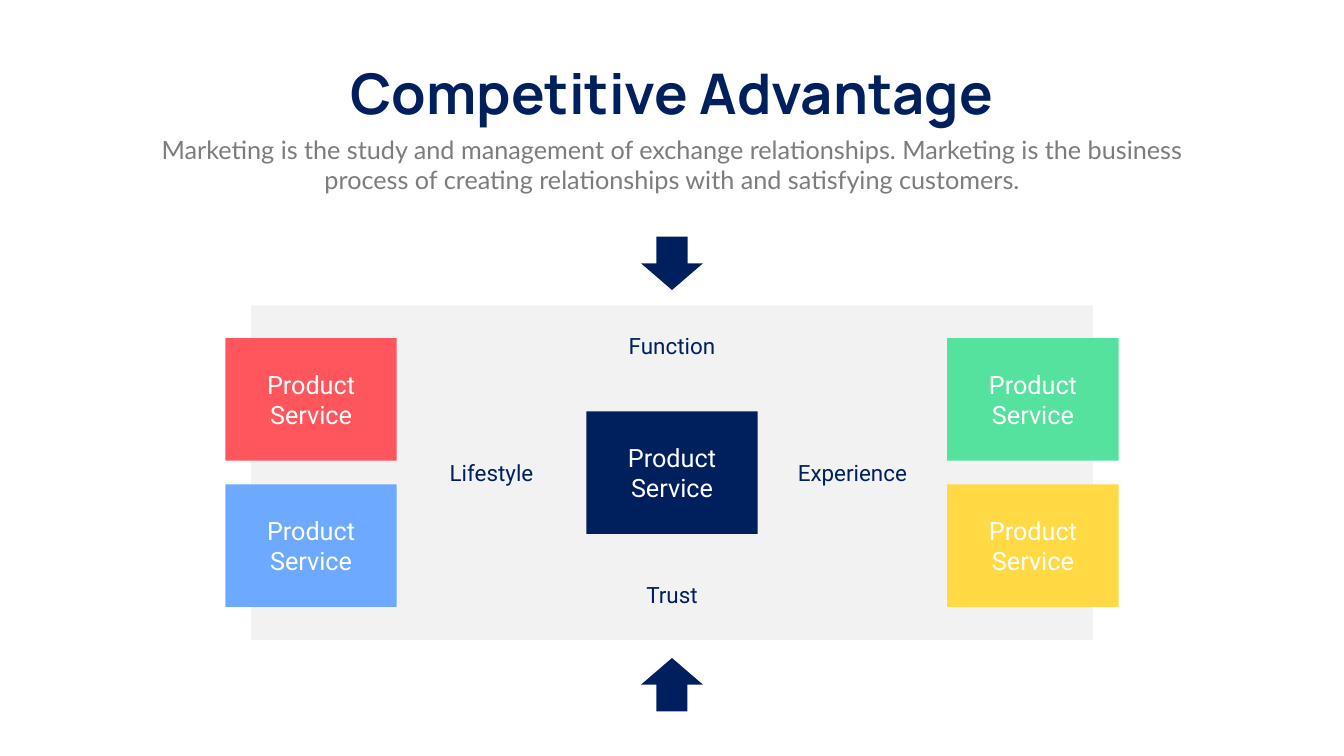
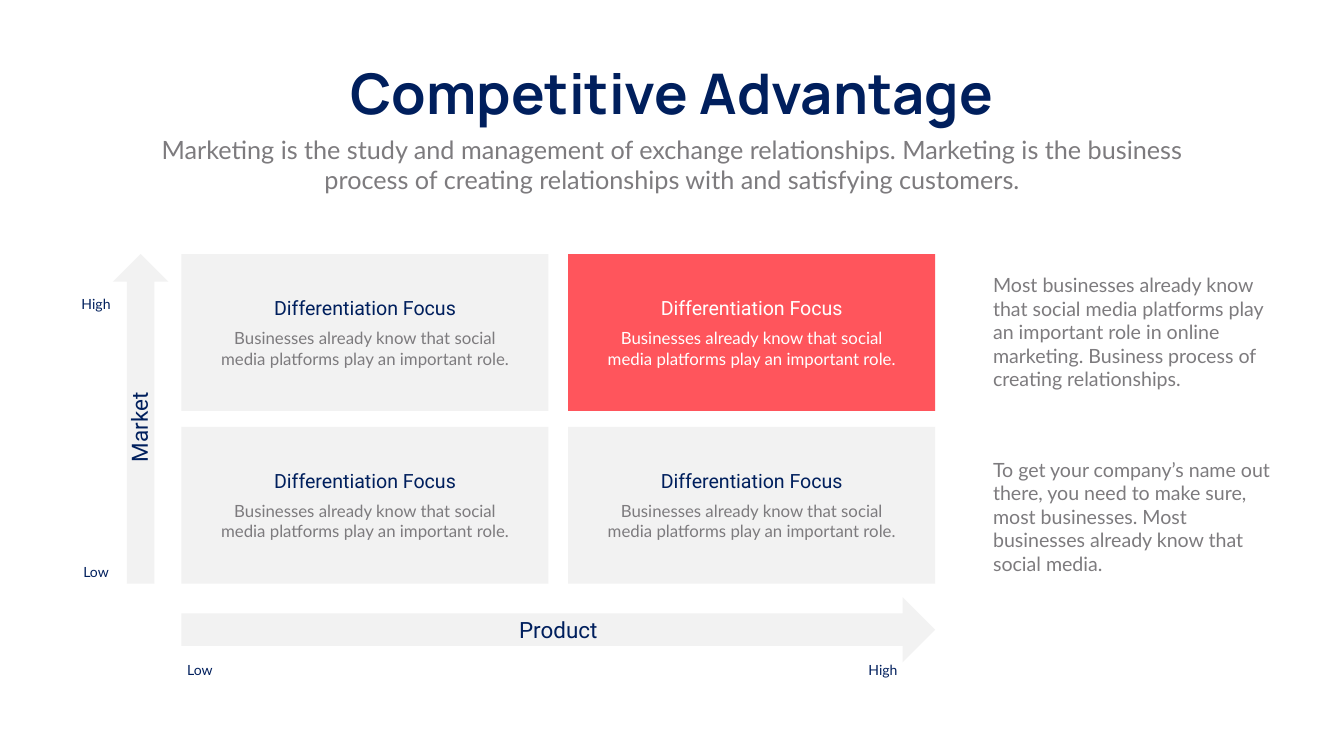
import pptx
import pptx.util
import pptx.dml.color
import pptx.enum.shapes
import pptx.enum.text

Pt = pptx.util.Pt
RGBColor = pptx.dml.color.RGBColor
SHAPE = pptx.enum.shapes.MSO_SHAPE
ALIGN = pptx.enum.text.PP_ALIGN

# Shared colours and fonts
NAVY = RGBColor(0x00, 0x1F, 0x5D)
GREY = RGBColor(0x7D, 0x7B, 0x7E)
PALE = RGBColor(0xF2, 0xF2, 0xF2)
WHITE = RGBColor(0xFF, 0xFF, 0xFF)
RED = RGBColor(0xFF, 0x55, 0x5C)
BLUE = RGBColor(0x6C, 0xA9, 0xFF)
GREEN = RGBColor(0x55, 0xE1, 0x9E)
YELLOW = RGBColor(0xFF, 0xDA, 0x44)
TITLE_FONT, HEAD_FONT, BODY_FONT = "Manrope", "Roboto", "Lato"

PAGE_WIDTH, PAGE_HEIGHT = 1919.52, 1080
TITLE = "Competitive Advantage"
SUBTITLE = ("Marketing is the study and management of exchange relationships. "
            "Marketing is the business process of creating relationships "
            "with and satisfying customers.")
FOCUS_HEAD = "Differentiation Focus"
FOCUS_BODY = ("Businesses already know that social media platforms "
              "play an important role.")
SIDE_NOTES = [
    ("Most businesses already know that social media platforms play an "
     "important role in online marketing. Business process of creating "
     "relationships.", 386.64, 177.12),
    ("To get your company’s name out there, you need to make sure, most "
     "businesses. Most businesses already know that social media.",
     650.16, 143.28),
]


def add_text(page, text, left, top, width, height, size, color,
             font=HEAD_FONT, align=ALIGN.CENTER, bold=False, wrap=True,
             rotation=0):
    box = page.shapes.add_textbox(Pt(left), Pt(top), Pt(width), Pt(height))
    box.rotation = rotation
    frame = box.text_frame
    frame.word_wrap = wrap
    frame.auto_size = pptx.enum.text.MSO_AUTO_SIZE.SHAPE_TO_FIT_TEXT
    para = frame.paragraphs[0]
    para.text = text
    para.alignment = align
    para.font.name = font
    para.font.size = Pt(size)
    para.font.bold = bold
    para.font.color.rgb = color


def add_block(page, kind, left, top, width, height, color, rotation=0):
    block = page.shapes.add_shape(kind, Pt(left), Pt(top), Pt(width), Pt(height))
    block.shadow.inherit = False
    block.fill.solid()
    block.fill.fore_color.rgb = color
    block.line.fill.background()
    block.rotation = rotation
    return block


def add_page(deck):
    """Blank page with the shared title and subtitle."""
    page = deck.slides.add_slide(deck.slide_layouts[6])
    add_text(page, TITLE, 452.16, 80.64, 1015.2, 104.4, 80, NAVY,
             font=TITLE_FONT, bold=True, wrap=False)
    add_text(page, SUBTITLE, 210.24, 187.92, 1499.04, 94.32, 36, GREY,
             font=BODY_FONT)
    return page


def add_product_card(page, left, top, width, height, color):
    add_block(page, SHAPE.RECTANGLE, left, top, width, height, color)
    add_text(page, "Product Service", left + 18.36, top + 40.32,
             width - 36.72, 94.32, 36, WHITE)


def add_product_panel(page, left, top, width, height):
    add_block(page, SHAPE.RECTANGLE, left, top, width, height, PALE)

    # Arrows pointing into the panel
    arrow_width, arrow_height = 76.32, 88.56
    arrow_left = left + (width - arrow_width) / 2
    for offset, rotation in ((-104.4, 90), (height + 19.44, 270)):
        add_block(page, SHAPE.RIGHT_ARROW, arrow_left, top + offset,
                  arrow_width, arrow_height, NAVY, rotation)

    # Values around the central card
    label_width = 208.08
    middle = (width - label_width) / 2
    for text, x, y in (("Function", middle, 34.56), ("Trust", middle, 390.96),
                       ("Experience", middle + 257.76, 216),
                       ("Lifestyle", middle - 257.76, 216)):
        add_text(page, text, left + x, top + y, label_width, 46.08, 32, NAVY)

    # One card in the centre, two overhanging each side
    card_width, card_height, overhang = 244.8, 174.96, 36.72
    right = width - card_width + overhang
    upper, lower = 46.8, 255.6
    for x, y, color in (((width - card_width) / 2, (height - card_height) / 2, NAVY),
                        (-overhang, upper, RED), (-overhang, lower, BLUE),
                        (right, upper, GREEN), (right, lower, YELLOW)):
        add_product_card(page, left + x, top + y, card_width, card_height, color)


def add_focus_card(page, left, top, width, height, highlighted):
    fill, head, body = (RED, WHITE, WHITE) if highlighted else (PALE, NAVY, GREY)
    card = add_block(page, SHAPE.ROUNDED_RECTANGLE, left, top, width, height, fill)
    card.adjustments[0] = 0
    add_text(page, FOCUS_HEAD, left + 103.32, top + 56.16, width - 206.64,
             41.04, 28, head)
    add_text(page, FOCUS_BODY, left + 36, top + 102.24, width - 72,
             65.52, 24, body, font=BODY_FONT)


def add_focus_grid(page, left, top, width, height):
    column_gap, row_gap = 28.08, 23.04
    card_width = (width - column_gap) / 2
    card_height = (height - row_gap) / 2
    for row in range(2):
        for column in range(2):
            add_focus_card(page, left + column * (card_width + column_gap),
                           top + row * (card_height + row_gap),
                           card_width, card_height,
                           highlighted=(row == 0 and column == 1))


def add_axes(page, left, top, width, height):
    """Market and product axes along the left and bottom of the grid."""
    add_block(page, SHAPE.UP_ARROW, left - 97.92, top, 79.2, height, PALE)
    thickness = 92.88
    add_block(page, SHAPE.UP_ARROW, left + (width - thickness) / 2,
              top + height + 65.88 - width / 2, thickness, width, PALE, 90)
    add_text(page, "Market", left - 159.12, top + 227.52, 190.8, 39.6, 32,
             NAVY, rotation=270)
    add_text(page, "Product", left + (width - 162.72) / 2, top + height + 42.48,
             162.72, 46.08, 32, NAVY)

    # Ends of each scale
    for text, x, y in (("High", -150.48, 56.16), ("Low", -150.48, height - 31.68),
                       ("Low", -2.16, height + 107.28),
                       ("High", width - 102.96, height + 107.28)):
        add_text(page, text, left + x, top + y, 56.88, 31.68, 20, NAVY,
                 font=BODY_FONT)


def add_side_notes(page, left, width):
    for text, top, height in SIDE_NOTES:
        add_text(page, text, left, top, width, height, 28, GREY,
                 font=BODY_FONT, align=ALIGN.LEFT)


def main():
    deck = pptx.Presentation()
    deck.slide_width, deck.slide_height = Pt(PAGE_WIDTH), Pt(PAGE_HEIGHT)

    add_product_panel(add_page(deck), 358.56, 436.32, 1202.4, 478.08)

    page = add_page(deck)
    grid = (259.2, 362.88, 1076.4, 470.88)
    add_focus_grid(page, *grid)
    add_axes(page, *grid)
    add_side_notes(page, 1411.2, 428.4)

    deck.save("out.pptx")


if __name__ == "__main__":
    main()
